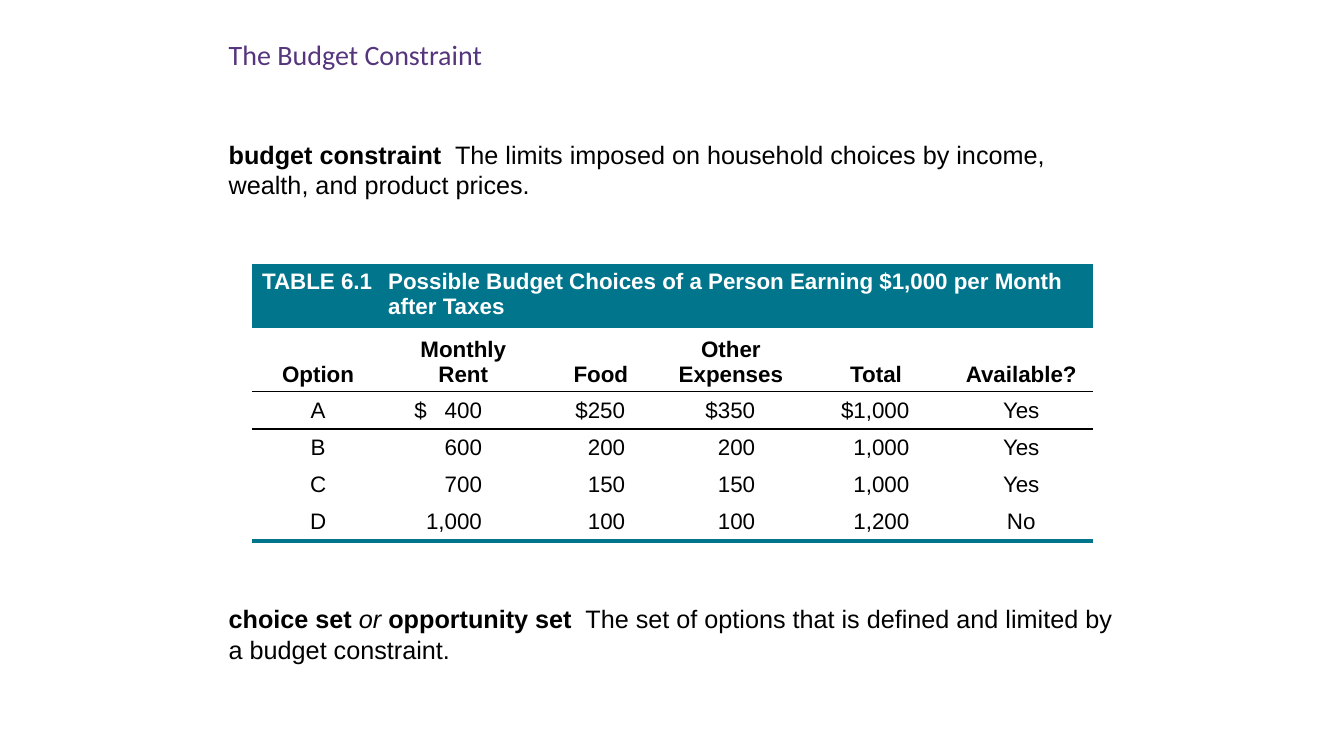
from dataclasses import dataclass
from typing import Optional

from lxml import etree
from pptx import Presentation
from pptx import util as u
from pptx.dml.color import RGBColor
from pptx.enum import text
from pptx.oxml import ns

ALIGN = text.PP_ALIGN


@dataclass(frozen=True)
class Theme:
    teal: str = "00758C"
    purple: str = "55367D"
    black: str = "000000"
    white: str = "FFFFFF"
    body_font: str = "Arial"
    title_font: str = "Calibri"
    title_size: int = 20
    definition_size: int = 18
    table_size: int = 16
    plain_table: str = "{2D5ABB26-0587-4C30-8999-92F81FD0307C}"


@dataclass(frozen=True)
class Run:
    words: str
    bold: bool = False
    italic: bool = False


@dataclass(frozen=True)
class Definition:
    top: float
    runs: tuple[Run, ...]


@dataclass(frozen=True)
class Column:
    heading: str
    width: float
    values: tuple[str, ...]
    right_inset: Optional[float] = None


THEME = Theme()
DEFINITIONS = (
    Definition(1.33, (
        Run("budget constraint", bold=True),
        Run("  The limits imposed on household choices by income, wealth, and product prices."),
    )),
    Definition(5.94, (
        Run("choice set ", bold=True),
        Run("or", italic=True),
        Run(" opportunity set", bold=True),
        Run("  The set of options that is defined and limited by a budget constraint."),
    )),
)
COLUMNS = (
    Column("Option", 1.21, ("A", "B", "C", "D")),
    Column("Monthly\vRent", 1.67, ("$\t400", "600", "700", "1,000"), 0.6),
    Column("Food", 1.06, ("$250", "200", "150", "100"), 0.24),
    Column("Other\vExpenses", 1.52, ("$350", "200", "150", "100"), 0.47),
    Column("Total", 1.36, ("$1,000", "1,000", "1,000", "1,200"), 0.3),
    Column("Available?", 1.52, ("Yes", "Yes", "Yes", "No")),
)
ROW_HEIGHTS = (0.63, 0.63, 0.37, 0.37, 0.37, 0.37)
TABLE_TITLE = (
    "TABLE 6.1\tPossible Budget Choices of a Person Earning $1,000 per Month after Taxes"
)


def add_run(paragraph, words: str, *, size: int, color: str = THEME.black,
            font: str = THEME.body_font, bold: bool = False, italic: bool = False) -> None:
    for index, line in enumerate(words.split("\v")):
        if index:
            paragraph.add_line_break()
        run = paragraph.add_run()
        run.text = line
        run.font.name = font
        run.font.size = u.Pt(size)
        run.font.bold = bold
        run.font.italic = italic
        run.font.color.rgb = RGBColor.from_string(color)


def add_paragraph_box(slide, left: float, top: float, width: float, height: float):
    frame = slide.shapes.add_textbox(
        u.Inches(left), u.Inches(top), u.Inches(width), u.Inches(height)
    ).text_frame
    frame.word_wrap = True
    return frame.paragraphs[0]


def set_border(cell, side: str, color: str, points: float) -> None:
    line = etree.Element(ns.qn(f"a:ln{side}"), w=str(u.Pt(points)))
    fill = etree.SubElement(line, ns.qn("a:solidFill"))
    etree.SubElement(fill, ns.qn("a:srgbClr"), val=color)
    cell._tc.get_or_add_tcPr().insert(0, line)


def set_tab(paragraph, position: float, alignment: str) -> None:
    tabs = etree.SubElement(paragraph._p.get_or_add_pPr(), ns.qn("a:tabLst"))
    etree.SubElement(tabs, ns.qn("a:tab"), pos=str(u.Inches(position)), algn=alignment)


def fill_cell(cell, words: str, *, align: ALIGN = ALIGN.CENTER, bold: bool = False,
              color: str = THEME.black, fill: Optional[str] = None,
              anchor: text.MSO_ANCHOR = text.MSO_ANCHOR.MIDDLE,
              left_inset: float = 0.1, right_inset: float = 0):
    cell.margin_left, cell.margin_right = u.Inches(left_inset), u.Inches(right_inset)
    cell.vertical_anchor = anchor
    if fill:
        cell.fill.solid()
        cell.fill.fore_color.rgb = RGBColor.from_string(fill)
    else:
        cell.fill.background()
    paragraph = cell.text_frame.paragraphs[0]
    paragraph.alignment = align
    add_run(paragraph, words, size=THEME.table_size, bold=bold, color=color)
    return paragraph


def fill_column(table, index: int, column: Column) -> None:
    table.columns[index].width = u.Inches(column.width)
    heading = table.cell(1, index)
    fill_cell(heading, column.heading, bold=True, anchor=text.MSO_ANCHOR.BOTTOM)
    set_border(heading, "B", THEME.black, 1)
    for row, value in enumerate(column.values, start=2):
        cell = table.cell(row, index)
        if "\t" in value:
            left_inset = 0.4
            paragraph = fill_cell(cell, value, align=ALIGN.LEFT, left_inset=left_inset)
            set_tab(paragraph, column.width - left_inset - column.right_inset, "r")
        elif column.right_inset is None:
            fill_cell(cell, value)
        else:
            fill_cell(cell, value, align=ALIGN.RIGHT, right_inset=column.right_inset)
    set_border(table.cell(2, index), "T", THEME.black, 1)
    set_border(table.cell(len(ROW_HEIGHTS) - 1, index), "B", THEME.teal, 3)


def add_budget_table(slide) -> None:
    table = slide.shapes.add_table(
        len(ROW_HEIGHTS), len(COLUMNS), u.Inches(2.5), u.Inches(2.62),
        u.Inches(sum(column.width for column in COLUMNS)), u.Inches(sum(ROW_HEIGHTS)),
    ).table
    table.first_row = table.horz_banding = False
    table._tbl.tblPr.find(ns.qn("a:tableStyleId")).text = THEME.plain_table
    for row, height in zip(table.rows, ROW_HEIGHTS):
        row.height = u.Inches(height)
    title = table.cell(0, 0)
    title.merge(table.cell(0, len(COLUMNS) - 1))
    paragraph = fill_cell(title, TABLE_TITLE, align=ALIGN.LEFT, bold=True, color=THEME.white,
                          fill=THEME.teal, anchor=text.MSO_ANCHOR.TOP, right_inset=0.1)
    properties = paragraph._p.get_or_add_pPr()
    properties.set("marL", str(u.Inches(1.25)))
    properties.set("indent", str(-u.Inches(1.25)))
    for index, column in enumerate(COLUMNS):
        fill_column(table, index, column)


def main() -> None:
    presentation = Presentation()
    presentation.slide_width, presentation.slide_height = u.Inches(13.33), u.Inches(7.5)
    slide = presentation.slides.add_slide(presentation.slide_layouts[6])
    add_run(add_paragraph_box(slide, 2.17, 0.32, 7, 0.42), "The Budget Constraint",
            size=THEME.title_size, color=THEME.purple, font=THEME.title_font)
    for definition in DEFINITIONS:
        paragraph = add_paragraph_box(slide, 2.17, definition.top, 9, 0.71)
        for run in definition.runs:
            add_run(paragraph, run.words, size=THEME.definition_size,
                    bold=run.bold, italic=run.italic)
    add_budget_table(slide)
    presentation.save("out.pptx")


main()
